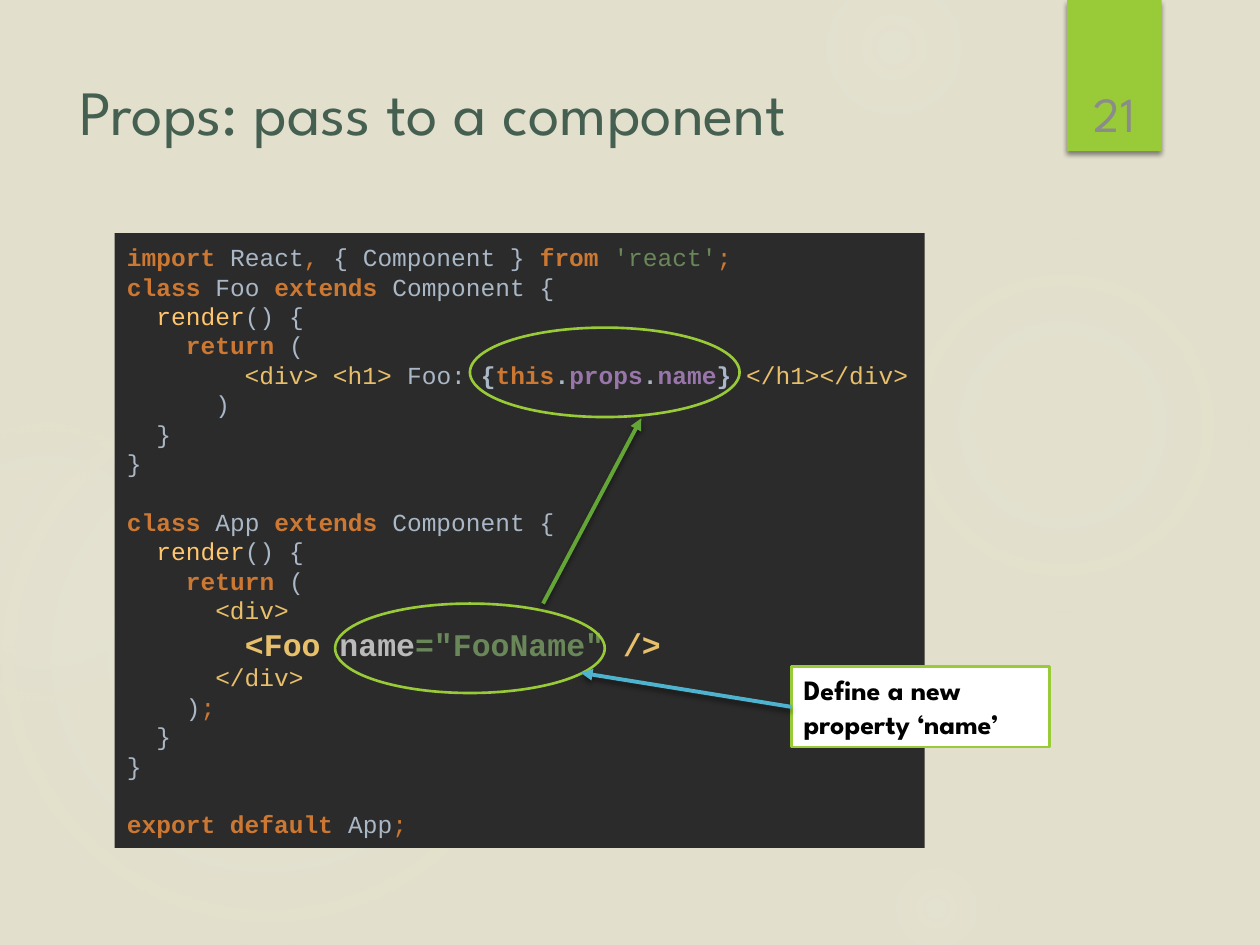
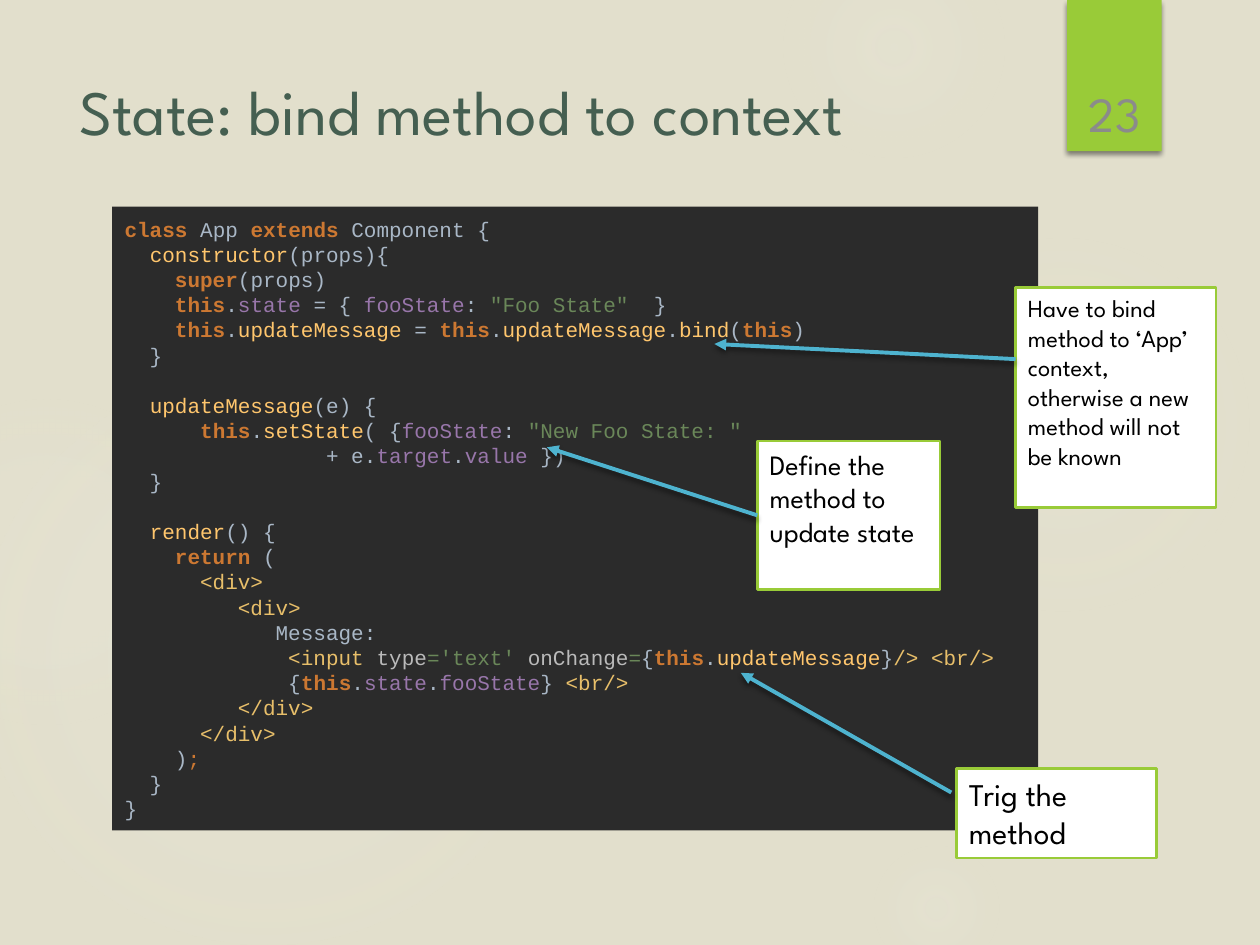
from collections import namedtuple

from lxml import etree
from pptx import Presentation
from pptx.dml.color import RGBColor
from pptx.enum.shapes import MSO_CONNECTOR, MSO_SHAPE
from pptx.enum.text import MSO_ANCHOR, MSO_AUTO_SIZE, PP_ALIGN
from pptx.oxml import parse_xml
from pptx.oxml.ns import nsdecls, qn
from pptx.util import Inches, Pt

RECTANGLE, ELLIPSE = MSO_SHAPE.RECTANGLE, MSO_SHAPE.OVAL
STRAIGHT = MSO_CONNECTOR.STRAIGHT
TOP, MIDDLE, BOTTOM = MSO_ANCHOR.TOP, MSO_ANCHOR.MIDDLE, MSO_ANCHOR.BOTTOM
LEFT, CENTER = PP_ALIGN.LEFT, PP_ALIGN.CENTER
LEFT_SIDE = 1

SAND = RGBColor(0xE2, 0xDF, 0xCC)
PALE = RGBColor(0xF3, 0xF2, 0xEB)
LIME = RGBColor(0x99, 0xCB, 0x38)
GREEN = RGBColor(0x63, 0xA5, 0x37)
BLUE = RGBColor(0x4E, 0xB3, 0xCF)
TEAL = RGBColor(0x45, 0x5F, 0x51)
GRAY = RGBColor(0x8B, 0x8B, 0x8B)
WHITE = RGBColor(0xFF, 0xFF, 0xFF)
BLACK = RGBColor(0x00, 0x00, 0x00)
CODE_BACKGROUND = RGBColor(0x2B, 0x2B, 0x2B)

# Code styles: an upper-case letter makes the run bold
CODE_COLORS = {
    "k": RGBColor(0xCC, 0x78, 0x32),  # keyword
    "p": RGBColor(0xA9, 0xB7, 0xC6),  # plain
    "s": RGBColor(0x6A, 0x87, 0x59),  # string
    "f": RGBColor(0xFF, 0xC6, 0x6D),  # function
    "t": RGBColor(0xE8, 0xBF, 0x6A),  # tag
    "v": RGBColor(0x98, 0x76, 0xAA),  # property
    "a": RGBColor(0xBA, 0xBA, 0xBA),  # attribute
}
LARGE_STYLES, LARGE_SIZE = "TAS", 18
HEADING_FONT, CODE_FONT = "League Spartan", "Courier New"
LINE_HEIGHT = 1.2

# Grid of the slide: 100 columns by 75 rows
SLIDE_WIDTH, SLIDE_HEIGHT = Inches(10), Inches(7.5)
COLUMN, ROW = SLIDE_WIDTH / 100, SLIDE_HEIGHT / 75
TITLE_SHARE = (0.053, 0.067, 0.772, 0.1)


class Box(namedtuple("Box", "left top width height")):
    """A region in columns and rows."""

    def point(self, column, row):
        return round((self.left + column) * COLUMN), round((self.top + row) * ROW)

    def inside(self, column, row, width, height):
        return Box(self.left + column, self.top + row, width, height)

    def lengths(self):
        return (*self.point(0, 0), round(self.width * COLUMN), round(self.height * ROW))


TITLE_BOX = Box(*(share * count for share, count in zip(TITLE_SHARE, (100, 75, 100, 75))))
NUMBER_BAND = Box(84.7, 0, 7.5, 12)

# Background circles: box, then (position, opacity) stops in percent
CIRCLES = [
    (Box(68.9, 18.3, 30.8, 30.8), ((0, 7), (36, 6), (69, 0))),
    (Box(62.2, -5, 17.5, 17.5), ((0, 14), (36, 7), (73, 0))),
    (Box(68.9, 66.7, 10.8, 10.8), ((0, 14), (36, 7), (66, 0))),
    (Box(-1.7, 29.2, 45.8, 45.8), ((0, 11), (36, 10), (75, 0))),
    (Box(-9.2, 31.7, 25.8, 25.8), ((0, 8), (36, 8), (72, 0))),
]

# A backtick and a style letter start each run
PROPS_CODE = """\
`Kimport `pReact`k, `p{ Component } `Kfrom `s'react'`k;
`Kclass `pFoo `Kextends `pComponent {
`p  `frender`p() {
`p    `Kreturn `p(
`t        <div> <h1> `pFoo: `P{`Kthis`P.`Vprops`P.`Vname`P} `t</h1></div>
`p      )
`p  }
`p}

`Kclass `pApp `Kextends `pComponent {
`p  `frender`p() {
`p    `Kreturn `p(
`t      <div>
`t        `T<Foo `Aname`S="FooName" `T/>
`t      </div>
`p    )`k;
`p  }
`p}

`Kexport default `pApp`k;"""

STATE_CODE = """\
`Kclass `pApp `Kextends `pComponent {
`p  `fconstructor`p(props){
`p    `Ksuper`p(props)
`p    `Kthis`p.`vstate `p= { `vfooState`p: `s"Foo State"  `p}
`p    `Kthis`p.`fupdateMessage `p= `Kthis`p.`fupdateMessage`p.`fbind`p(`Kthis`p)
`p  }

`p  `fupdateMessage`p(e) {
`p      `Kthis`p.`fsetState`p( {`vfooState`p: `s"New Foo State: "
`p                + e.`vtarget`p.`vvalue `p})
`p  }

`p  `frender`p() {
`p    `Kreturn `p(
`t      <div>
`t         <div>
`p            Message:
`t             <input `atype`s='text' `aonChange`s=`p{`Kthis`p.`fupdateMessage`p}`t/> <br/>
`p             {`Kthis`p.`vstate`p.`vfooState`p} `t<br/>
`t         </div>
`t      </div>
`p    )`k;
`p  }
`p}"""


def write(paragraph, text, *, size, color, font=HEADING_FONT, bold=False, align=LEFT):
    run = paragraph.add_run()
    run.text = text
    run.font.size, run.font.name, run.font.bold = Pt(size), font, bold
    run.font.color.rgb = color
    paragraph.alignment = align
    paragraph.line_spacing = Pt(size * LINE_HEIGHT)


def add_shadow(shape):
    shape._element.spPr.append(parse_xml(
        f'<a:effectLst {nsdecls("a")}><a:outerShdw blurRad="{Pt(3)}" dist="{Pt(2)}" '
        'dir="5400000" rotWithShape="0"><a:srgbClr val="000000"><a:alpha val="45000"/>'
        '</a:srgbClr></a:outerShdw></a:effectLst>'))


def add_shape(slide, kind, box, fill=None, line=None, shadow=False, anchor=TOP):
    shape = slide.shapes.add_shape(kind, *box.lengths())
    if fill is None:
        shape.fill.background()
    else:
        shape.fill.solid()
        shape.fill.fore_color.rgb = fill
    if line is None:
        shape.line.fill.background()
    else:
        shape.line.color.rgb, shape.line.width = line, Pt(1.5)
    if shadow:
        add_shadow(shape)
    else:
        shape.shadow.inherit = False
    shape.text_frame.word_wrap = True
    shape.text_frame.vertical_anchor = anchor
    return shape


def add_arrow(slide, start, end, color, source=None):
    arrow = slide.shapes.add_connector(STRAIGHT, *start, *end)
    if source is not None:
        arrow.begin_connect(source, LEFT_SIDE)
    arrow.line.color.rgb, arrow.line.width = color, Pt(2.25)
    etree.SubElement(arrow.line._get_or_add_ln(), qn("a:tailEnd"), type="triangle")
    add_shadow(arrow)


def add_circle(slide, box, stops):
    circle = add_shape(slide, ELLIPSE, box, fill=PALE)
    stop_xml = "".join(
        f'<a:gs pos="{position * 1000}"><a:srgbClr val="{PALE}">'
        f'<a:alpha val="{opacity * 1000}"/></a:srgbClr></a:gs>' for position, opacity in stops)
    gradient = parse_xml(
        f'<a:gradFill {nsdecls("a")}><a:gsLst>{stop_xml}</a:gsLst><a:path path="circle">'
        '<a:fillToRect l="50000" t="50000" r="50000" b="50000"/></a:path></a:gradFill>')
    properties = circle._element.spPr
    properties.replace(properties.find(qn("a:solidFill")), gradient)


def add_base_slide(presentation, title, number):
    slide = presentation.slides.add_slide(presentation.slide_layouts[5])
    for box, stops in CIRCLES:
        add_circle(slide, box, stops)

    # Number band
    band = add_shape(slide, RECTANGLE, NUMBER_BAND, fill=LIME, shadow=True, anchor=BOTTOM)
    band.text_frame.margin_bottom = Inches(0.07)
    write(band.text_frame.paragraphs[0], str(number), size=28, color=GRAY, align=CENTER)

    # Title
    heading = slide.shapes.title
    heading.left, heading.top, heading.width, heading.height = TITLE_BOX.lengths()
    frame = heading.text_frame
    frame.auto_size, frame.vertical_anchor = MSO_AUTO_SIZE.NONE, MIDDLE
    write(frame.paragraphs[0], title, size=36, color=TEAL)
    return slide


def add_code_panel(slide, box, code, size):
    panel = add_shape(slide, RECTANGLE, box, fill=CODE_BACKGROUND, anchor=MIDDLE)
    paragraph, gap = panel.text_frame.paragraphs[0], 0
    for index, line in enumerate(code.split("\n")):
        if not line:
            gap = size * LINE_HEIGHT
            continue
        if index:
            paragraph = panel.text_frame.add_paragraph()
        paragraph.space_before, gap = Pt(gap), 0
        for run in line.split("`")[1:]:
            style, text = run[0], run[1:]
            write(paragraph, text, size=LARGE_SIZE if style in LARGE_STYLES else size,
                  color=CODE_COLORS[style.lower()], font=CODE_FONT, bold=style.isupper())


def add_callout(slide, box, text, size, target, start=None, bold=False):
    """A note with an arrow, from its left side unless a start is given."""
    callout = add_shape(slide, RECTANGLE, box, fill=WHITE, line=LIME)
    write(callout.text_frame.paragraphs[0], text, size=size, color=BLACK, bold=bold)
    if start is None:
        add_arrow(slide, box.point(0, box.height / 2), target, BLUE, source=callout)
    else:
        add_arrow(slide, start, target, BLUE)


def build_props_slide(presentation, panel):
    slide = add_base_slide(presentation, "Props: pass to a component", 21)
    add_code_panel(slide, panel, PROPS_CODE, 14)

    # Rings around the property where it is read and where it is set
    for column, row in ((28.2, 7.5), (17.5, 29.4)):
        add_shape(slide, ELLIPSE, panel.inside(column, row, 21.4, 7.1), line=LIME)
    add_arrow(slide, panel.point(34, 29.4), panel.point(41.8, 14.7), GREEN)

    add_callout(slide, panel.inside(53.7, 34.4, 20.5, 6.4), "Define a new property ‘name’",
                16, panel.point(37, 34.9), bold=True)


def build_state_slide(presentation, panel):
    slide = add_base_slide(presentation, "State: bind method to context", 23)
    add_code_panel(slide, panel, STATE_CODE, 12)

    # Notes on binding, triggering and defining the method
    add_callout(slide, panel.inside(71.7, 6.4, 15.9, 17.5),
                "Have to bind method to ‘App’ context, otherwise a new method will not be known",
                14, panel.point(47.8, 10.9), start=panel.point(71.7, 12.1))
    add_callout(slide, panel.inside(67, 44.6, 15.9, 7.1), "Trig the method",
                18, panel.point(49.9, 37), start=panel.point(66.6, 46.5))
    add_callout(slide, panel.inside(51.2, 18.6, 14.5, 11.8), "Define the method to update state",
                16, panel.point(34.5, 19.1))


def main():
    presentation = Presentation()
    presentation.slide_width, presentation.slide_height = SLIDE_WIDTH, SLIDE_HEIGHT
    background = presentation.slide_master.background.fill
    background.solid()
    background.fore_color.rgb = SAND
    build_props_slide(presentation, Box(9.1, 18.5, 64.3, 48.8))
    build_state_slide(presentation, Box(8.9, 16.4, 73.5, 49.5))
    presentation.save("out.pptx")


if __name__ == "__main__":
    main()
